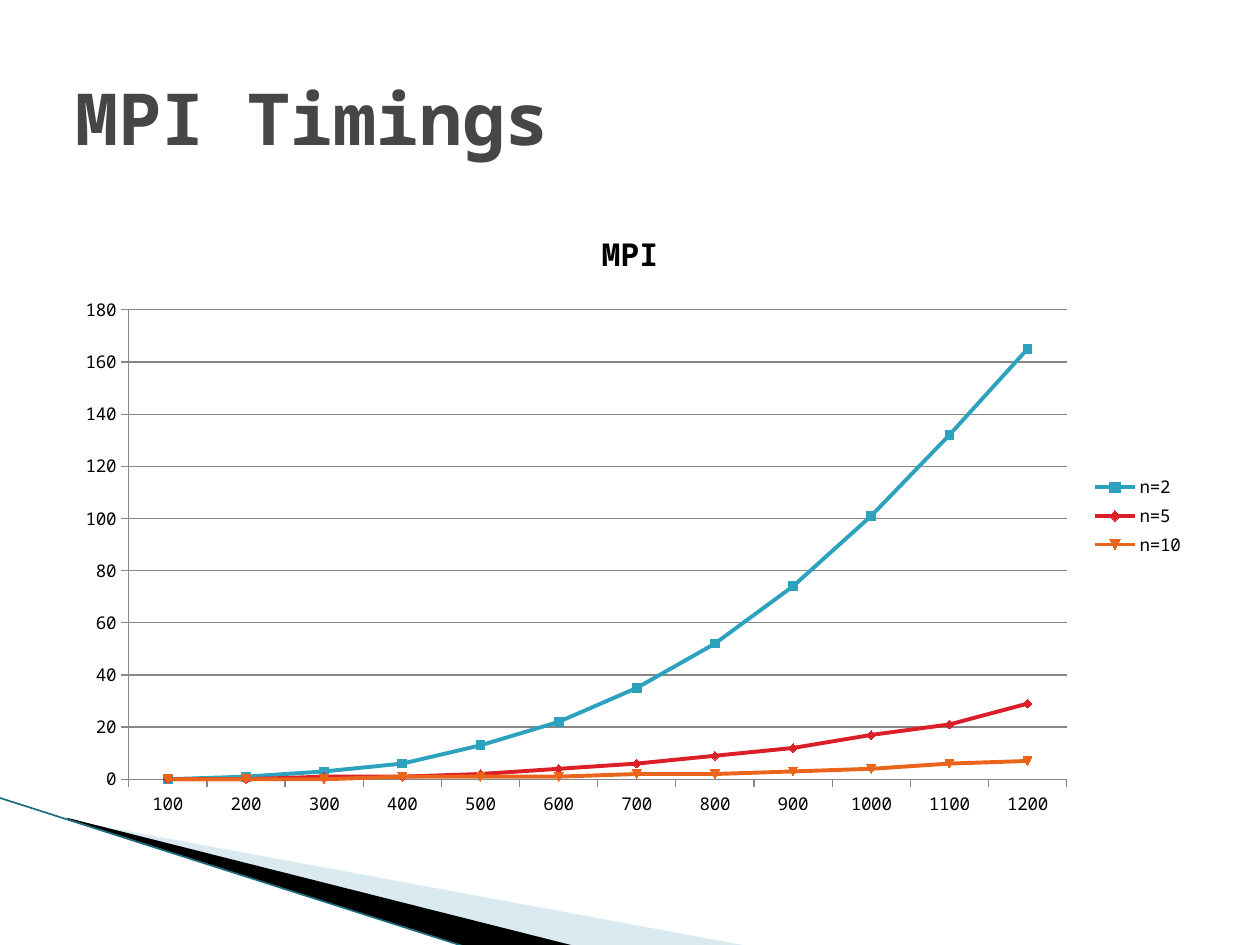
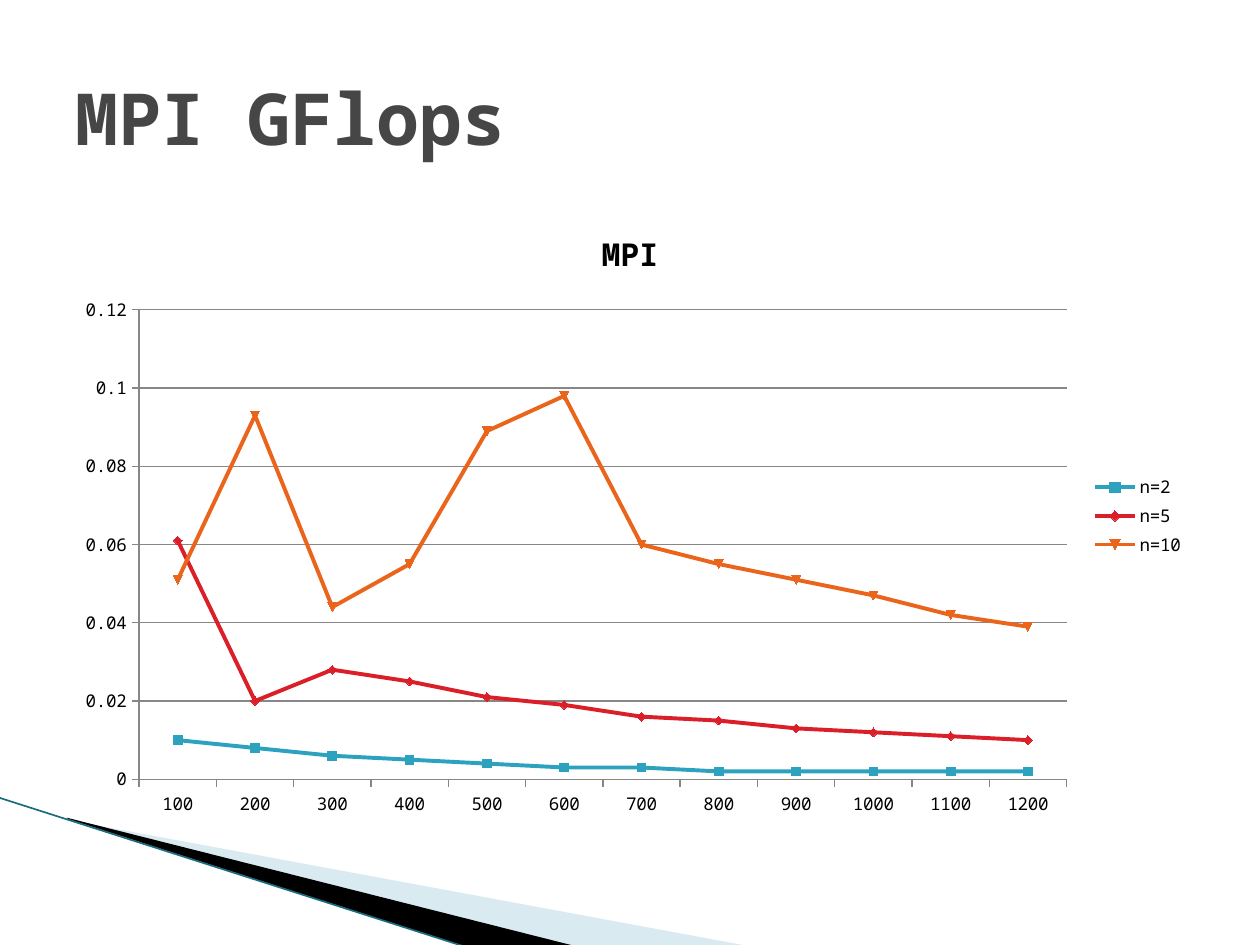
import lxml.etree
import pptx
import pptx.chart.data
import pptx.dml.color
import pptx.enum.chart
import pptx.enum.shapes
import pptx.enum.text
import pptx.oxml.ns
import pptx.util

COLUMNS, ROWS = 20, 15
TITLE_ONLY = 5


def color(hex_string):
    return pptx.dml.color.RGBColor.from_string(hex_string)


class Deck:
    font = "Noto Sans Mono"
    title_color, text_color = "464646", "000000"
    axis_color = "878787"
    series_colors = ["2DA2BF", "DA1F28", "EB641B"]
    pale_band, dark_band, edge = "A0CBDC", "000000", "1B6C80"

    def __init__(self):
        self.presentation = pptx.Presentation()
        self.presentation.slide_width = pptx.util.Inches(10)
        self.presentation.slide_height = pptx.util.Inches(7.5)
        self.column = self.presentation.slide_width / COLUMNS
        self.row = self.presentation.slide_height / ROWS

    def at(self, *lengths):
        units = (self.column, self.row)
        return [round(length * units[i % 2]) for i, length in enumerate(lengths)]

    def style(self, font, size, hex_string, bold=False):
        font.name, font.size, font.bold = self.font, pptx.util.Pt(size), bold
        font.color.rgb = color(hex_string)

    def add_slide(self, heading):
        layout = self.presentation.slide_layouts[TITLE_ONLY]
        self.slide = self.presentation.slides.add_slide(layout)
        background = self.slide.background.fill
        background.solid()
        background.fore_color.rgb = color("FFFFFF")
        self.add_band([(1.1, 13.02), (11.9, 15.02), (9.12, 15.02), (1.1, 13)],
                      self.pale_band, opacity=40)
        self.add_band([(1.06, 12.98), (9.14, 15.02), (7.44, 15.04), (1.08, 13)],
                      self.dark_band)
        self.add_line((-0.02, 12.66), (7.42, 15.04), self.edge, 0.95)
        self.add_title(heading)

    def add_title(self, heading):
        title = self.slide.shapes.title
        title.left, title.top, title.width, title.height = self.at(1, 0.6, 18, 2.5)
        frame = title.text_frame
        frame.word_wrap = True
        frame.auto_size = pptx.enum.text.MSO_AUTO_SIZE.NONE
        frame.vertical_anchor = pptx.enum.text.MSO_ANCHOR.MIDDLE
        paragraph = frame.paragraphs[0]
        paragraph.alignment = pptx.enum.text.PP_ALIGN.LEFT
        run = paragraph.add_run()
        run.text = heading
        self.style(run.font, 41, self.title_color, bold=True)

    def add_band(self, corners, fill, opacity=100):
        start, *others = [self.at(*corner) for corner in corners]
        builder = self.slide.shapes.build_freeform(*start)
        builder.add_line_segments(others, close=True)
        band = builder.convert_to_shape()
        band.shadow.inherit = False
        band.line.fill.background()
        band.fill.solid()
        band.fill.fore_color.rgb = color(fill)
        if opacity < 100:
            solid = band.fill._xPr.find(pptx.oxml.ns.qn("a:solidFill"))
            lxml.etree.SubElement(solid[0], pptx.oxml.ns.qn("a:alpha"),
                                  val=str(opacity * 1000))

    def add_line(self, start, end, stroke, width):
        line = self.slide.shapes.add_connector(
            pptx.enum.shapes.MSO_CONNECTOR.STRAIGHT, *self.at(*start, *end))
        line.line.color.rgb = color(stroke)
        line.line.width = pptx.util.Pt(width)
        lxml.etree.SubElement(line._element.spPr, pptx.oxml.ns.qn("a:effectLst"))

    def add_line_chart(self, heading, categories, timings, maximum, step):
        data = pptx.chart.data.CategoryChartData()
        data.categories = categories
        for name, values in timings.items():
            data.add_series(name, values)
        chart = self.slide.shapes.add_chart(
            pptx.enum.chart.XL_CHART_TYPE.LINE_MARKERS,
            *self.at(1, 3.24, 18, 9.9), data).chart
        self.style(chart.font, 10, self.text_color)

        chart.has_title = True
        run = chart.chart_title.text_frame.paragraphs[0].add_run()
        run.text = heading
        self.style(run.font, 18, self.text_color, bold=True)
        chart.chart_title.include_in_layout = False

        chart.has_legend = True
        chart.legend.position = pptx.enum.chart.XL_LEGEND_POSITION.RIGHT
        chart.legend.include_in_layout = False

        scale = chart.value_axis
        scale.minimum_scale, scale.maximum_scale = 0, maximum
        scale.major_unit = step
        scale.has_major_gridlines = True
        scale.tick_labels.number_format = "General"
        scale.tick_labels.number_format_is_linked = False
        for axis in (chart.category_axis, scale):
            axis.major_tick_mark = pptx.enum.chart.XL_TICK_MARK.OUTSIDE
            self.style_rule(axis.format.line)
        self.style_rule(scale.major_gridlines.format.line)

        chart.plots[0].vary_by_categories = False
        for series, stroke in zip(chart.plots[0].series, self.series_colors):
            series.smooth = False
            series.format.line.color.rgb = color(stroke)
            series.format.line.width = pptx.util.Pt(2.25)
            marker = series.marker.format
            marker.fill.solid()
            marker.fill.fore_color.rgb = color(stroke)
            marker.line.color.rgb = color(stroke)

    def style_rule(self, rule):
        rule.color.rgb = color(self.axis_color)
        rule.width = pptx.util.Pt(0.75)


matrix_sizes = [str(size) for size in range(100, 1300, 100)]
seconds = {
    "n=2": [0, 1, 3, 6, 13, 22, 35, 52, 74, 101, 132, 165],
    "n=5": [0, 0, 1, 1, 2, 4, 6, 9, 12, 17, 21, 29],
    "n=10": [0, 0, 0, 1, 1, 1, 2, 2, 3, 4, 6, 7],
}
gflops = {
    "n=2": [0.01, 0.008, 0.006, 0.005, 0.004, 0.003,
            0.003, 0.002, 0.002, 0.002, 0.002, 0.002],
    "n=5": [0.061, 0.02, 0.028, 0.025, 0.021, 0.019,
            0.016, 0.015, 0.013, 0.012, 0.011, 0.01],
    "n=10": [0.051, 0.093, 0.044, 0.055, 0.089, 0.098,
             0.06, 0.055, 0.051, 0.047, 0.042, 0.039],
}

deck = Deck()
for heading, measurements, maximum, step in [
    ("MPI Timings", seconds, 180, 20),
    ("MPI GFlops", gflops, 0.12, 0.02),
]:
    deck.add_slide(heading)
    deck.add_line_chart("MPI", matrix_sizes, measurements, maximum, step)
deck.presentation.save("out.pptx")
